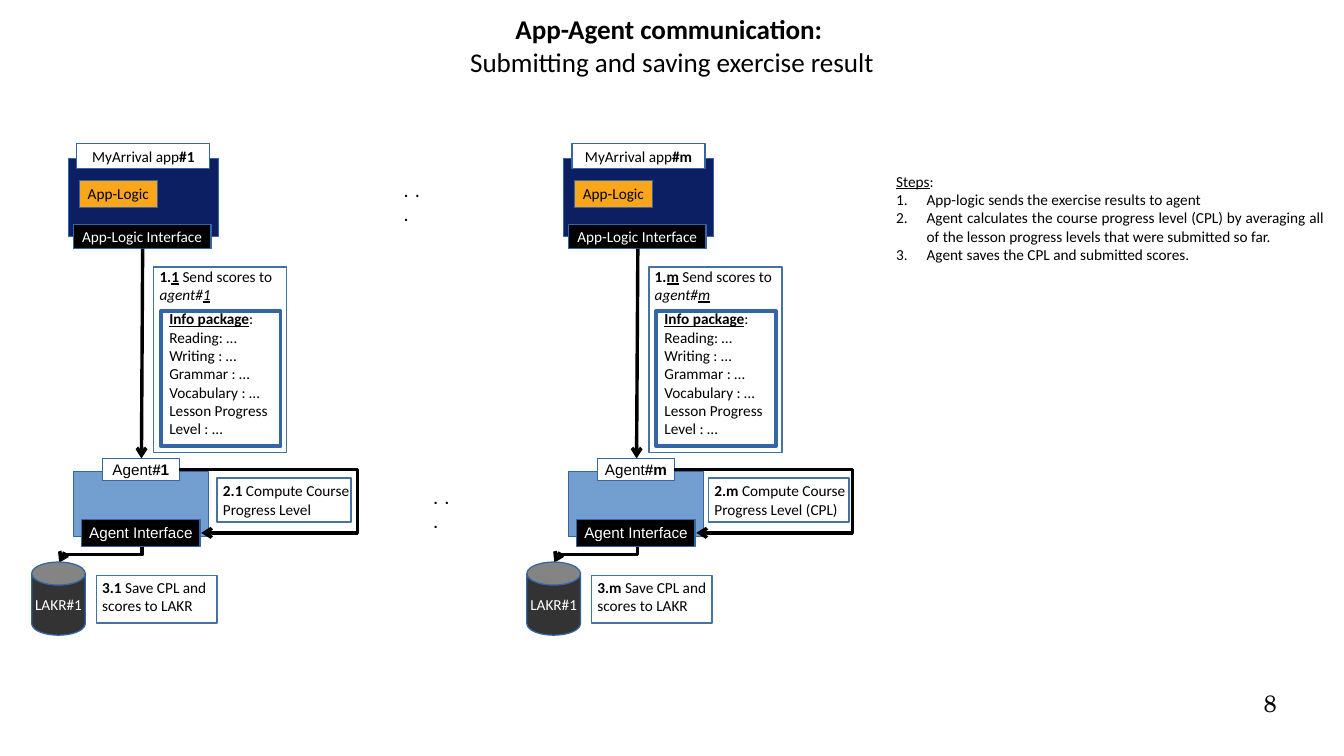
from pptx import Presentation
from pptx.dml.color import RGBColor
from pptx.enum.shapes import MSO_CONNECTOR, MSO_SHAPE
from pptx.enum.text import MSO_ANCHOR, PP_ALIGN
from pptx.oxml.ns import qn
from pptx.util import Inches, Pt
from lxml import etree

RECT, CAN = MSO_SHAPE.RECTANGLE, MSO_SHAPE.CAN
STRAIGHT, ELBOW = MSO_CONNECTOR.STRAIGHT, MSO_CONNECTOR.ELBOW
TOP, MIDDLE = MSO_ANCHOR.TOP, MSO_ANCHOR.MIDDLE
LEFT, CENTER, RIGHT, JUSTIFY = (PP_ALIGN.LEFT, PP_ALIGN.CENTER,
                                PP_ALIGN.RIGHT, PP_ALIGN.JUSTIFY)
BLACK = RGBColor(0x00, 0x00, 0x00)
WHITE = RGBColor(0xFF, 0xFF, 0xFF)
NAVY = RGBColor(0x0D, 0x1F, 0x63)
ORANGE = RGBColor(0xFA, 0xA6, 0x1A)
AGENT_BLUE = RGBColor(0x72, 0x9F, 0xCF)
STORE_GREY = RGBColor(0x33, 0x33, 0x33)
EDGE = RGBColor(0x34, 0x65, 0xA4)
FRAME = RGBColor(0x43, 0x73, 0x9E)

deck = Presentation()
deck.slide_width, deck.slide_height = Inches(11.02), Inches(6.2)
slide = deck.slides.add_slide(deck.slide_layouts[6])


def add_block(paragraphs, left, top, width, height, kind=None, fill=None,
              edge=EDGE, weight=0, color=BLACK, size=9, font="Calibri",
              align=LEFT, anchor=TOP, wrap=True, margins=(0.1, 0.05, 0, 0.05)):
    """Add a text box, or a shape of the given kind, with (text, style) runs.

    Style letters are b, i and u; a newline in a run is a line break.
    """
    box = [Inches(v) for v in (left, top, width, height)]
    if kind is None:
        block = slide.shapes.add_textbox(*box)
    else:
        block = slide.shapes.add_shape(kind, *box)
        block.shadow.inherit = False
        if fill is None:
            block.fill.background()
        else:
            block.fill.solid()
            block.fill.fore_color.rgb = fill
        block.line.color.rgb = edge
        block.line.width = Pt(weight)
    frame = block.text_frame
    frame.word_wrap, frame.vertical_anchor = wrap, anchor
    (frame.margin_left, frame.margin_top,
     frame.margin_right, frame.margin_bottom) = [Inches(m) for m in margins]
    for number, runs in enumerate(paragraphs):
        paragraph = frame.paragraphs[0] if number == 0 else frame.add_paragraph()
        paragraph.alignment = align
        for text, style in runs:
            for row, part in enumerate(text.split("\n")):
                if row:
                    paragraph.add_line_break()
                if part:
                    run = paragraph.add_run()
                    run.text = part
                    run.font.name, run.font.size = font, Pt(size)
                    run.font.color.rgb = color
                    run.font.bold = "b" in style
                    run.font.italic = "i" in style
                    run.font.underline = "u" in style
    return block


def add_arrow(kind, x1, y1, x2, y2, bend=None, quarter_turn=False):
    """Add a hairline arrow; bend places the elbow as a share of the width."""
    arrow = slide.shapes.add_connector(
        kind, Inches(x1), Inches(y1), Inches(x2), Inches(y2))
    arrow.line.color.rgb = BLACK
    arrow.line.width = Pt(0)
    properties = arrow._element.spPr
    etree.SubElement(properties.find(qn("a:ln")), qn("a:tailEnd"), type="arrow")
    etree.SubElement(properties, qn("a:effectLst"))
    if quarter_turn:
        properties.find(qn("a:xfrm")).set("rot", "5400000")
    if bend is not None:
        guides = properties.find(qn("a:prstGeom")).find(qn("a:avLst"))
        etree.SubElement(guides, qn("a:gd"), name="adj1",
                         fmla=f"val {round(bend * 100000)}")


add_block([[("8", "")]], 7.9, 5.65, 2.57, 0.43, size=14,
          font="TeX Gyre Schola", align=RIGHT, margins=(0, 0, 0, 0))
add_block([[("App-Agent communication: \n", "b"),
            ("Submitting and saving exercise result", "")]],
          0.55, 0, 9.92, 0.74, size=16, align=CENTER, anchor=MIDDLE,
          margins=(0, 0, 0, 0))
for left, top in ((3.45, 3.92), (3.21, 1.4)):
    add_block([[(". . .", "")]], left, top, 0.41, 0.29, size=12, font="Arial",
              margins=(0.1, 0.05, 0.1, 0.05))

# One column per app: offset, index, compute frame left and width, result
columns = ((0, "1", 1.78, 1.1, "Progress Level"),
           (4.06, "m", 5.81, 1.15, "Progress Level (CPL)"))
for x, index, compute_left, compute_width, compute_result in columns:
    labels = (
        ([], 0.56, 1.3, 1.23, 0.64, NAVY, BLACK, "Calibri"),
        ([("MyArrival app", ""), ("#" + index, "b")],
         0.63, 1.18, 1.09, 0.2, WHITE, BLACK, "Calibri"),
        ([("App-Logic", "")], 0.65, 1.48, 0.64, 0.22, ORANGE, BLACK, "Calibri"),
        ([("App-Logic Interface", "")],
         0.6, 1.84, 1.13, 0.2, BLACK, WHITE, "Calibri"),
        ([], 0.6, 3.87, 1.11, 0.53, AGENT_BLUE, BLACK, "Arial"),
        ([("Agent", ""), ("#" + index, "b")],
         0.84, 3.76, 0.63, 0.18, WHITE, BLACK, "Arial"),
        ([("Agent Interface", "")],
         0.67, 4.26, 0.97, 0.22, BLACK, WHITE, "Arial"),
    )
    for runs, left, top, width, height, fill, color, font in labels:
        add_block([runs], x + left, top, width, height, kind=RECT, fill=fill,
                  color=color, font=font, align=CENTER, anchor=MIDDLE, wrap=False,
                  margins=(0.1, 0.05, 0.1, 0.05))

    add_arrow(STRAIGHT, x + 1.17, 2.04, x + 1.16, 3.76)
    add_arrow(ELBOW, x + 0.76, 4.21, x + 0.89, 4.89, quarter_turn=True)

    add_block([], x + 1.32, 2.55, 0.98, 1.11, kind=RECT, fill=WHITE, weight=2.3)
    add_block([[("Info package", "bu"), (":\nReading: …", "")],
               [("Writing : …", "")],
               [("Grammar : …", "")],
               [("Vocabulary : …", "")],
               [("Lesson Progress \nLevel : …", "")]],
              x + 1.29, 2.49, 1.04, 1.33)
    add_block([[("1.", "b"), (index, "bu"), (" ", "b"), ("Send scores to \n", ""),
                ("agent#", "i"), (index, "iu")]], x + 1.21, 2.14, 1.2, 0.41)
    add_block([[(f"2.{index} ", "b"), ("Compute Course\n" + compute_result, "")]],
              compute_left - 0.05, 3.9, compute_width + 0.15, 0.41)
    add_block([[(f"3.{index} ", "b"), ("Save CPL and \nscores to LAKR", "")]],
              x + 0.74, 4.69, 1.13, 0.41)
    for left, top, width, height in ((x + 1.26, 2.19, 1.09, 1.52),
                                     (compute_left, 3.92, compute_width, 0.36),
                                     (x + 0.79, 4.72, 0.99, 0.39)):
        add_block([], left, top, width, height, kind=RECT, edge=FRAME, weight=1)

    store = add_block([[("LAKR#1", "")]], x + 0.26, 4.61, 0.44, 0.6, kind=CAN,
                      fill=STORE_GREY, color=WHITE, align=CENTER, anchor=MIDDLE,
                      wrap=False, margins=(0.1, 0.05, 0.1, 0.05))
    store.adjustments[0] = 0.43
    add_arrow(ELBOW, x + 1.47, 3.85, x + 1.65, 4.37, bend=8.11)

steps = add_block(
    [[("Steps", "u"), (":", "")],
     [("App-logic sends the exercise results to agent", "")],
     [("Agent calculates the course progress level (CPL) by averaging all of the "
       "lesson progress levels that were submitted so far. ", "")],
     [("Agent saves the CPL and submitted scores. ", "")]],
    7.25, 1.36, 3.7, 0.87, align=JUSTIFY, margins=(0.1, 0.05, 0.1, 0.05))
for step in steps.text_frame.paragraphs[1:]:
    settings = step._p.get_or_add_pPr()
    settings.set("marL", str(Inches(0.25)))
    settings.set("indent", str(-Inches(0.25)))
    etree.SubElement(settings, qn("a:buFont"), typeface="+mj-lt")
    etree.SubElement(settings, qn("a:buAutoNum"), type="arabicPeriod")

deck.save("out.pptx")
